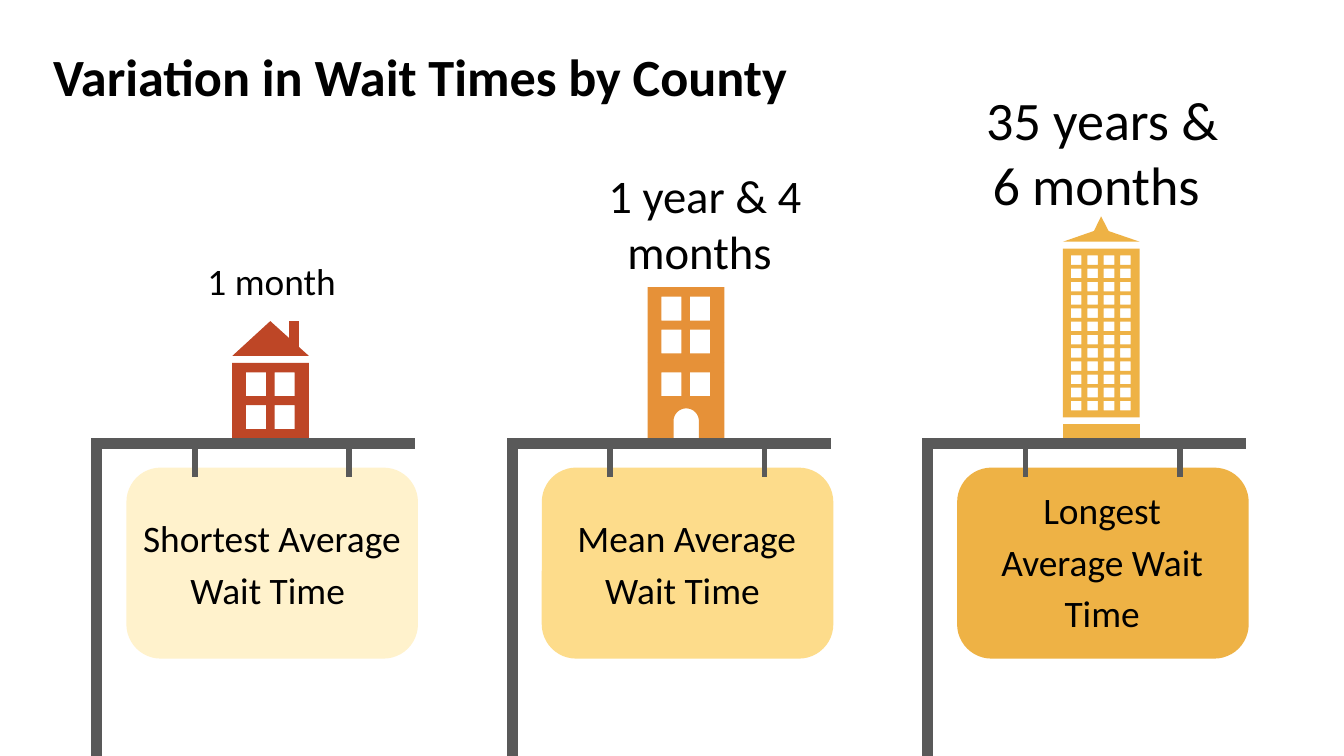
from math import cos, pi, sin
from lxml.etree import SubElement
from pptx import Presentation
from pptx.dml.color import RGBColor
from pptx.enum.shapes import MSO_CONNECTOR, MSO_SHAPE
from pptx.enum.text import MSO_ANCHOR, PP_ALIGN
from pptx.oxml.ns import qn
from pptx.util import Cm, Pt

BLACK = RGBColor(0x00, 0x00, 0x00)
GRAY = RGBColor(0x59, 0x59, 0x59)
RED = RGBColor(0xBE, 0x46, 0x26)
ORANGE = RGBColor(0xE6, 0x91, 0x38)
GOLD = RGBColor(0xEE, 0xB2, 0x45)
CREAM = RGBColor(0xFF, 0xF2, 0xCC)
YELLOW = RGBColor(0xFD, 0xDC, 0x8B)

PITCH = 7.85
HOUSE, BLOCK, TOWER = [4.39 + PITCH * i for i in range(3)]
WIDTH = 1.45
GROUND = 8.28

prs = Presentation()
prs.slide_width, prs.slide_height = Cm(25.4), Cm(14.29)
s = prs.slides.add_slide(prs.slide_layouts[6])


def rect(x, y, w, h):
    return [(x, y), (x + w, y), (x + w, y + h), (x, y + h)]


def outline(color, *contours):
    fb = None
    for contour in contours:
        pts = [(Cm(x), Cm(y)) for x, y in contour]
        if fb is None:
            fb = s.shapes.build_freeform(*pts[0])
        else:
            fb.move_to(*pts[0])
        fb.add_line_segments(pts[1:], close=True)
    sp = fb.convert_to_shape()
    sp.shadow.inherit = False
    sp.fill.solid()
    sp.fill.fore_color.rgb = color
    sp.line.fill.background()


for i, color in enumerate([CREAM, YELLOW, GOLD]):
    sp = s.shapes.add_shape(MSO_SHAPE.ROUNDED_RECTANGLE, Cm(2.39 + PITCH * i), Cm(8.84), Cm(5.51), Cm(3.61))
    sp.adjustments[0] = 0.18
    sp.shadow.inherit = False
    sp.fill.solid()
    sp.fill.fore_color.rgb = color
    sp.line.fill.background()

outline(RED, [(HOUSE + 0.72, 6.07), (HOUSE, 6.73), (HOUSE + WIDTH, 6.73)])
outline(RED, rect(HOUSE + 1.07, 6.07, 0.2, 0.52))

arch = [(BLOCK + 0.73 - 0.24 * cos(pi * k / 16), 7.96 - 0.24 * sin(pi * k / 16)) for k in range(17)]
door_wall = [(BLOCK, 6.86), (BLOCK, GROUND), (BLOCK + 0.49, GROUND), *arch,
             (BLOCK + 0.97, GROUND), (BLOCK + WIDTH, GROUND), (BLOCK + WIDTH, 6.86)]
for color, x, y, rows, wall in [
    (RED, HOUSE, 6.86, 2, rect(HOUSE, 6.86, WIDTH, 1.42)),
    (ORANGE, BLOCK, 5.43, 2, rect(BLOCK, 5.43, WIDTH, 1.43)),
    (ORANGE, BLOCK, 6.86, 1, door_wall),
]:
    windows = [rect(x + 0.26 + 0.54 * c, y + 0.18 + 0.62 * r, 0.38, 0.45) for r in range(rows) for c in range(2)]
    outline(color, wall, *windows)

outline(GOLD, [(TOWER + 0.72, 4.32), (TOWER, 4.57), (TOWER + WIDTH, 4.57)])
outline(GOLD, [(TOWER + 0.72, 4.09), (TOWER + 0.56, 4.42), (TOWER + 0.89, 4.42)])
outline(GOLD, rect(TOWER, 8.02, WIDTH, 0.26))
windows = [rect(TOWER + 0.15 + 0.31 * c, 4.83 + 0.25 * r, 0.2, 0.18) for r in range(12) for c in range(4)]
outline(GOLD, rect(TOWER, 4.7, WIDTH, 3.19), *windows)

for i in range(3):
    for x1, y1, x2, y2, width in [
        (1.83, 8.28, 1.83, 15.57, 6),
        (1.93, 8.38, 7.85, 8.38, 6),
        (3.68, 8.38, 3.68, 9.02, 3),
        (6.6, 8.38, 6.6, 9.02, 3),
    ]:
        dx = PITCH * i
        line = s.shapes.add_connector(MSO_CONNECTOR.STRAIGHT, Cm(x1 + dx), Cm(y1), Cm(x2 + dx), Cm(y2))
        line.line.color.rgb = GRAY
        line.line.width = Pt(width)
        SubElement(line._element.spPr, qn("a:effectLst"))

MID, TOP = MSO_ANCHOR.MIDDLE, MSO_ANCHOR.TOP
for text, x, y, w, h, size, bold, anchor, spacing in [
    ("Variation in Wait Times by County", 0.43, 0.64, 15.01, 1.57, 28, True, MID, 1),
    ("Shortest Average Wait Time ", 2.31, 9.37, 5.66, 2.21, 20, False, TOP, 1.15),
    ("Mean Average Wait Time ", 10.49, 9.37, 4.98, 1.32, 20, False, TOP, 1.15),
    ("Longest Average Wait Time", 18.34, 8.84, 4.98, 2.84, 20, False, TOP, 1.15),
    ("1 month", 3.05, 4.8, 4.17, 0.99, 20, False, MID, 1),
    ("1 year & 4 months ", 10.49, 3.53, 5.66, 1.35, 25, False, MID, 1),
    ("35 years & 6 months ", 18.08, 2.21, 5.51, 1.32, 29, False, MID, 1),
]:
    tf = s.shapes.add_textbox(Cm(x), Cm(y), Cm(w), Cm(h)).text_frame
    p = tf.paragraphs[0]
    r = p.add_run()
    r.text = text
    r.font.color.rgb = BLACK
    margins = dict.fromkeys(["margin_left", "margin_right", "margin_top", "margin_bottom"], Cm(0.25))
    for obj, formats in [
        (tf, {"word_wrap": True, "vertical_anchor": anchor, **margins}),
        (p, {"alignment": PP_ALIGN.CENTER, "line_spacing": spacing}),
        (r.font, {"name": "Calibri", "size": Pt(size), "bold": bold}),
    ]:
        for name, value in formats.items():
            setattr(obj, name, value)

prs.save("out.pptx")
